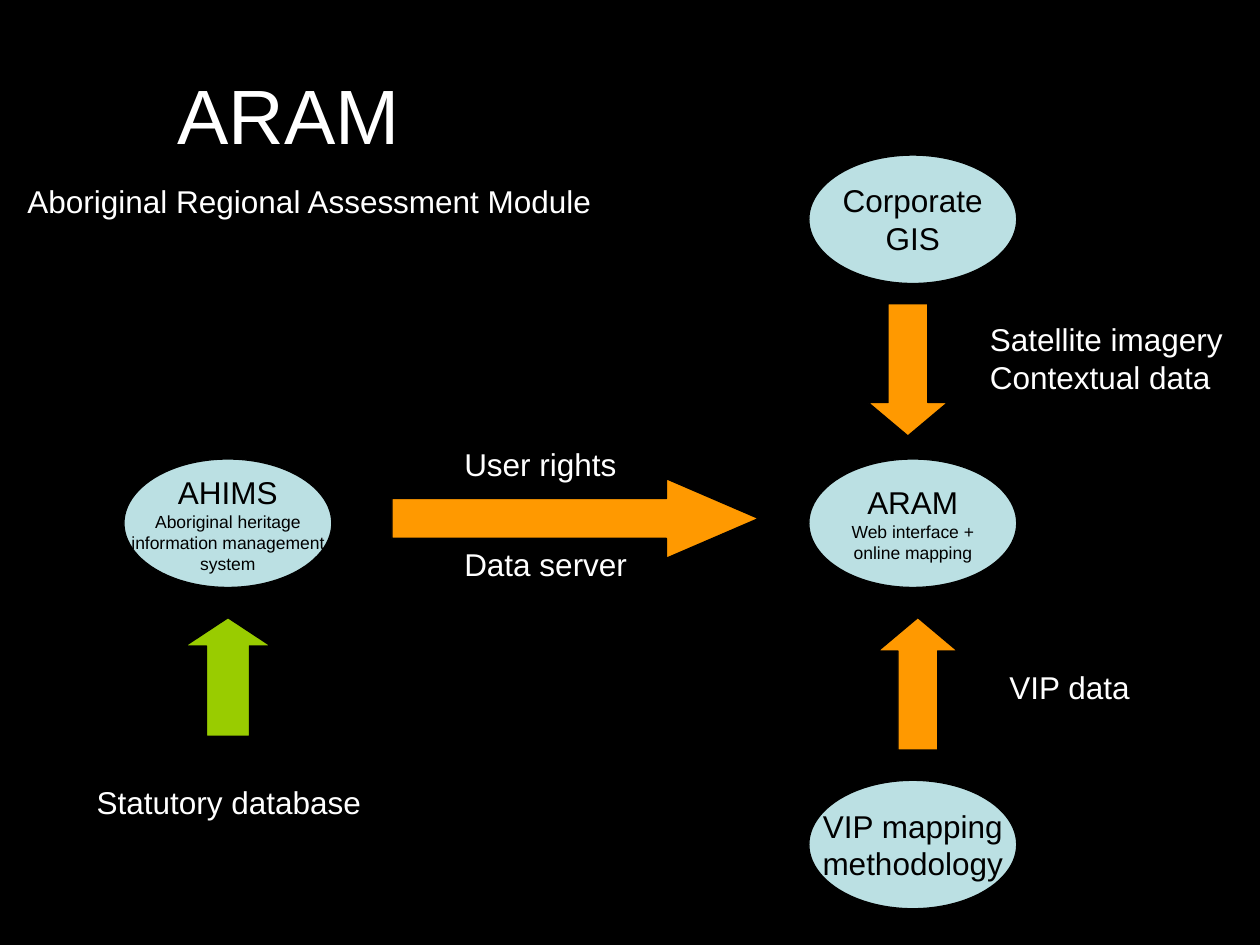
from dataclasses import dataclass

from pptx import Presentation
from pptx.dml.color import RGBColor
from pptx.enum import shapes, text
from pptx.util import Pt


@dataclass(frozen=True)
class Theme:
    font: str = "Arial"
    back: RGBColor = RGBColor(0, 0, 0)
    light: RGBColor = RGBColor(255, 255, 255)
    dark: RGBColor = RGBColor(0, 0, 0)
    node: RGBColor = RGBColor(0xBB, 0xE0, 0xE3)
    flow: RGBColor = RGBColor(0xFF, 0x99, 0x00)
    statutory: RGBColor = RGBColor(0x99, 0xCC, 0x00)
    title: int = 44
    body: int = 18
    small: int = 10


theme = Theme()
Kind, Align, Anchor = shapes.MSO_SHAPE, text.PP_ALIGN, text.MSO_ANCHOR


def write(sp, lines, color, align, anchor, wrap=False):
    """Fill a shape with (text, size) lines, one paragraph each."""
    tf = sp.text_frame
    settings = {"word_wrap": wrap, "vertical_anchor": anchor,
                "margin_left": Pt(7.2), "margin_right": Pt(7.2),
                "margin_top": Pt(3.6), "margin_bottom": Pt(3.6)}
    for name, value in settings.items():
        setattr(tf, name, value)
    for i, (line, size) in enumerate(lines):
        p = tf.paragraphs[0] if i == 0 else tf.add_paragraph()
        p.alignment = align
        r = p.add_run()
        r.text = line
        for name, value in {"name": theme.font, "size": Pt(size)}.items():
            setattr(r.font, name, value)
        r.font.color.rgb = color


def add_filled(kind, box, color):
    """Add a flat preset shape with a thin dark outline."""
    sp = s.shapes.add_shape(kind, *map(Pt, box))
    sp.shadow.inherit = False
    sp.fill.solid()
    sp.fill.fore_color.rgb = color
    sp.line.color.rgb = theme.dark
    sp.line.width = Pt(0.75)
    return sp


prs = Presentation()
prs.slide_width, prs.slide_height = Pt(720), Pt(540)
s = prs.slides.add_slide(prs.slide_layouts[6])
s.background.fill.solid()
s.background.fill.fore_color.rgb = theme.back

# Title
sp = s.shapes.add_textbox(Pt(54), Pt(20.2), Pt(221.8), Pt(90))
write(sp, [("ARAM", theme.title)], theme.light, Align.CENTER, Anchor.MIDDLE, True)

# Systems: left, top, heading lines, detail lines
left_column, right_column = 70.8, 462.2
systems = [
    (left_column, 262.3, ["AHIMS"],
     ["Aboriginal heritage", "information management", "system"]),
    (right_column, 262.3, ["ARAM"], ["Web interface +", "online mapping"]),
    (right_column, 88.6, ["Corporate", "GIS"], []),
    (right_column, 445.9, ["VIP mapping", "methodology"], []),
]
for left, top, heading, detail in systems:
    sp = add_filled(Kind.OVAL, (left, top, 118.8, 73.4), theme.node)
    lines = [(t, theme.body) for t in heading] + [(t, theme.small) for t in detail]
    write(sp, lines, theme.dark, Align.CENTER, Anchor.MIDDLE)

# Block arrows: kind, box, rotation, head length, colour
arrows = [
    (Kind.UP_ARROW, (105.8, 353, 49, 67.7), 0, 0.333, theme.statutory),
    (Kind.RIGHT_ARROW, (224, 273.6, 209.5, 45.4), 0, 1.158, theme.flow),
    (Kind.RIGHT_ARROW, (486.7, 368, 75.6, 45.4), 270, 0.419, theme.flow),
    (Kind.RIGHT_ARROW, (481, 188.6, 75.6, 45.4), 90, 0.419, theme.flow),
]
for kind, box, rotation, head, color in arrows:
    sp = add_filled(kind, box, color)
    sp.rotation = rotation
    sp.adjustments[0], sp.adjustments[1] = 0.5, round(head, 2)

# Labels: left, top, width, lines
labels = [
    (8.6, 100.3, 337.7, ["Aboriginal Regional Assessment Module"]),
    (48.2, 443.8, 165.6, ["Statutory database"]),
    (258.2, 250.8, 101.5, ["User rights"]),
    (258.2, 307.7, 107.3, ["Data server"]),
    (558.6, 179.3, 147.6, ["Satellite imagery", "Contextual data"]),
    (569.8, 378.2, 83.5, ["VIP data"]),
]
for left, top, width, lines in labels:
    height = 7.2 + 21.6 * len(lines)
    sp = s.shapes.add_textbox(Pt(left), Pt(top), Pt(width), Pt(height))
    sp.text_frame.auto_size = text.MSO_AUTO_SIZE.SHAPE_TO_FIT_TEXT
    write(sp, [(t, theme.body) for t in lines], theme.light, Align.LEFT, Anchor.TOP)

prs.save("out.pptx")
